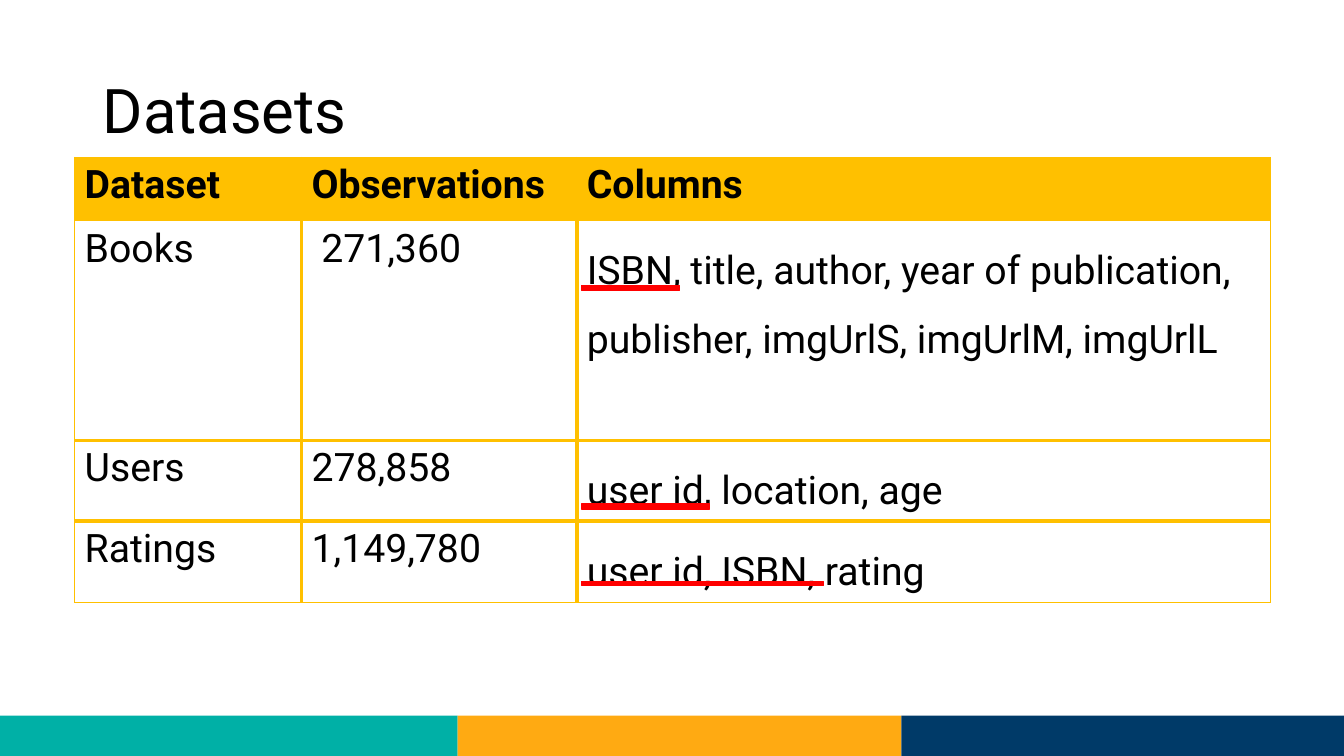
from dataclasses import dataclass

import lxml.etree
import pptx
import pptx.dml.color
import pptx.enum.shapes
import pptx.enum.text
import pptx.oxml.ns
import pptx.util

Inches = pptx.util.Inches


@dataclass(frozen=True)
class Theme:
    font: str = "Roboto"
    text: str = "000000"
    gold: str = "FFC000"
    teal: str = "00B0A6"
    orange: str = "FFAA12"
    navy: str = "003A68"
    red: str = "FF0000"
    title_size: float = 44
    cell_size: float = 28
    thin: float = 0.5
    thick: float = 3


@dataclass(frozen=True)
class Bar:
    left: float
    top: float
    width: float
    height: float
    color: str
    line: float = 0


@dataclass(frozen=True)
class Dataset:
    name: str
    observations: str
    columns: str
    height: float


THEME = Theme()

FOOTER = [
    Bar(0, 7.1, 4.54, 0.4, THEME.teal),
    Bar(4.54, 7.1, 4.4, 0.4, THEME.orange),
    Bar(8.94, 7.1, 4.4, 0.4, THEME.navy),
]
KEY_UNDERLINES = [
    Bar(5.77, 2.83, 0.97, 0.05, THEME.red, 1),
    Bar(5.77, 5, 1.27, 0.05, THEME.red, 1),
    Bar(5.77, 5.77, 2.4, 0.04, THEME.red, 1),
]
COLUMN_WIDTHS = [2.25, 2.73, 6.88]
DATASETS = [
    Dataset("Dataset", "Observations", "Columns", 0.63),
    Dataset("Books", " 271,360", "ISBN, title, author, year of publication, "
            "publisher, imgUrlS, imgUrlM, imgUrlL", 2.18),
    Dataset("Users", "278,858", "user id, location, age", 0.78),
    Dataset("Ratings", "1,149,780", "user id, ISBN, rating", 0.78),
]


def rgb(color: str) -> pptx.dml.color.RGBColor:
    return pptx.dml.color.RGBColor.from_string(color)


def write(tf, text: str, *, size: float, bold: bool = False, spacing: float = 1) -> None:
    p = tf.paragraphs[0]
    p.line_spacing = spacing
    r = p.add_run()
    r.text = text
    r.font.name = THEME.font
    r.font.size = pptx.util.Pt(size)
    r.font.bold = bold
    r.font.color.rgb = rgb(THEME.text)


def draw_bar(s, bar: Bar) -> None:
    sp = s.shapes.add_shape(
        pptx.enum.shapes.MSO_SHAPE.RECTANGLE,
        Inches(bar.left), Inches(bar.top), Inches(bar.width), Inches(bar.height))
    sp.shadow.inherit = False
    sp.fill.solid()
    sp.fill.fore_color.rgb = rgb(bar.color)
    if bar.line:
        sp.line.color.rgb = rgb(bar.color)
        sp.line.width = pptx.util.Pt(bar.line)
    else:
        sp.line.fill.background()


def draw_title(s, text: str) -> None:
    sp = s.shapes.add_textbox(Inches(0.92), Inches(0.4), Inches(11.5), Inches(1.45))
    tf = sp.text_frame
    tf.word_wrap = True
    tf.vertical_anchor = pptx.enum.text.MSO_ANCHOR.MIDDLE
    write(tf, text, size=THEME.title_size, spacing=0.9)


def set_borders(cell, widths: dict[str, float]) -> None:
    qn = pptx.oxml.ns.qn
    properties = cell._tc.get_or_add_tcPr()
    for position, (side, width) in enumerate(widths.items()):
        line = lxml.etree.Element(qn(f"a:ln{side}"), w=str(pptx.util.Pt(width)))
        fill = lxml.etree.SubElement(line, qn("a:solidFill"))
        lxml.etree.SubElement(fill, qn("a:srgbClr"), val=THEME.gold)
        properties.insert(position, line)


def draw_table(s) -> None:
    rows, cols = len(DATASETS), len(COLUMN_WIDTHS)
    table = s.shapes.add_table(
        rows, cols, Inches(0.74), Inches(1.56), Inches(sum(COLUMN_WIDTHS)),
        Inches(sum(d.height for d in DATASETS))).table
    table.first_row = False
    table.horz_banding = False
    for column, width in zip(table.columns, COLUMN_WIDTHS):
        column.width = Inches(width)
    for i, dataset in enumerate(DATASETS):
        header = i == 0
        table.rows[i].height = Inches(dataset.height)
        texts = (dataset.name, dataset.observations, dataset.columns)
        for j, text in enumerate(texts):
            cell = table.cell(i, j)
            if header:
                cell.fill.solid()
                cell.fill.fore_color.rgb = rgb(THEME.gold)
            else:
                cell.fill.background()
            inner = {
                "L": j > 0 and not header,
                "R": j < cols - 1 and not header,
                "T": i > 1,
                "B": 0 < i < rows - 1,
            }
            set_borders(cell, {side: THEME.thick if thick else THEME.thin
                               for side, thick in inner.items()})
            write(cell.text_frame, text, size=THEME.cell_size, bold=header,
                  spacing=1.5 if j == cols - 1 and not header else 1)


def main() -> None:
    prs = pptx.Presentation()
    prs.slide_width, prs.slide_height = Inches(13.33), Inches(7.5)
    s = prs.slides.add_slide(prs.slide_layouts[6])
    for bar in FOOTER:
        draw_bar(s, bar)
    draw_title(s, "Datasets")
    draw_table(s)
    for bar in KEY_UNDERLINES:
        draw_bar(s, bar)
    prs.save("out.pptx")


if __name__ == "__main__":
    main()
